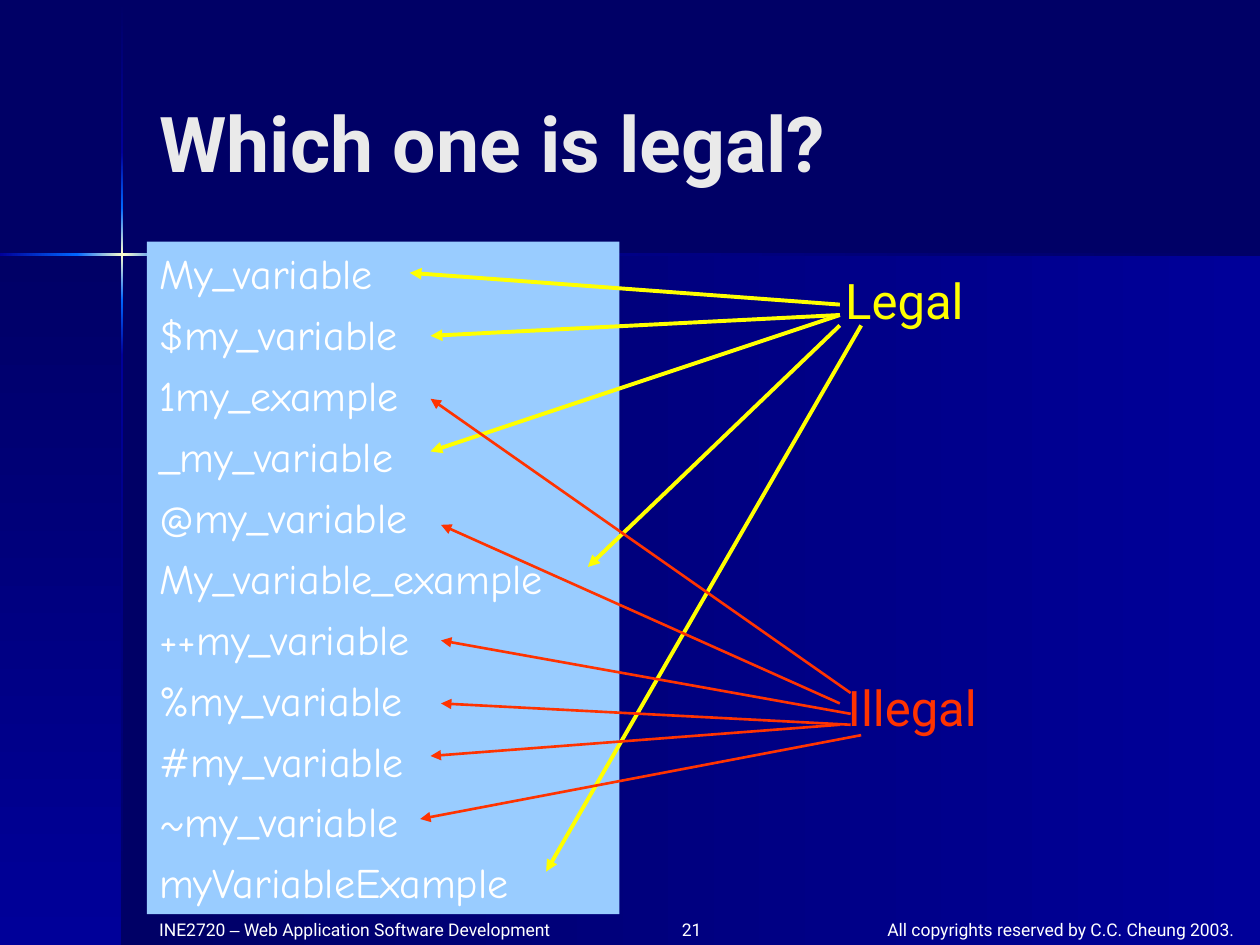
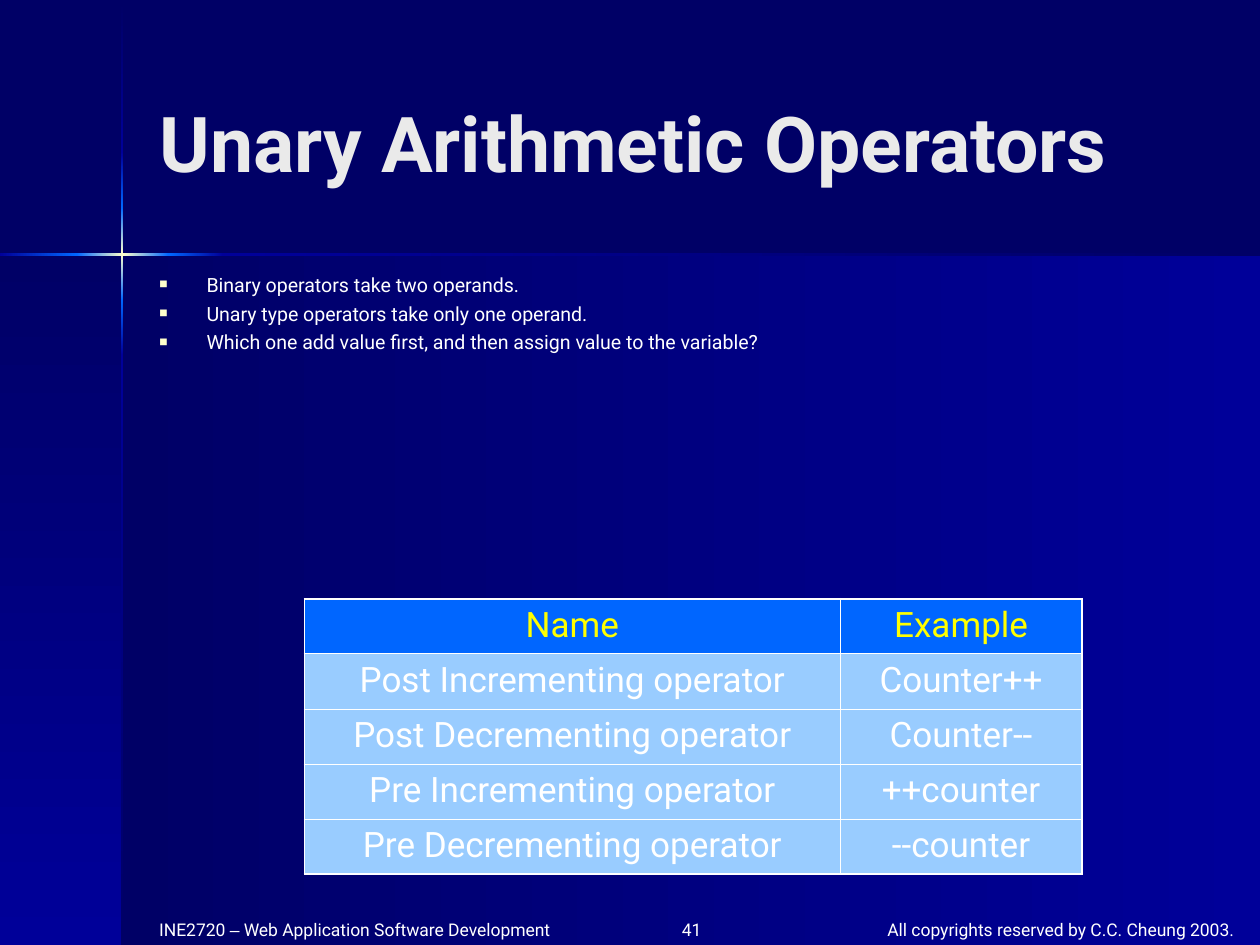
from dataclasses import dataclass
from itertools import pairwise

from lxml.etree import SubElement
from pptx import Presentation
from pptx.dml.color import RGBColor
from pptx.enum.shapes import MSO_CONNECTOR, MSO_SHAPE
from pptx.enum.text import MSO_ANCHOR, MSO_AUTO_SIZE, PP_ALIGN
from pptx.oxml.ns import qn
from pptx.util import Cm, Pt

WIDTH, HEIGHT = 25.4, 19.05
FOLD_X, FOLD_Y = 2.46, 5.13  # where the two light beams cross
BEAM = 0.05
LEFT = 2.96  # left edge of the content


@dataclass(frozen=True)
class Theme:
    night: str = "000066"
    navy: str = "000099"
    blue: str = "0066FF"
    sky: str = "99CCFF"
    cream: str = "FFFFCC"
    white: str = "FFFFFF"
    silver: str = "EAEAEA"
    yellow: str = "FFFF00"
    red: str = "FF3300"
    font: str = "Roboto"
    hand_font: str = "Comic Neue"
    dash_font: str = "Arial"
    title_size: float = 44
    label_size: float = 28
    list_size: float = 24
    table_size: float = 20
    bullet_size: float = 11.2
    footer_size: float = 10


def rgb(colour):
    return RGBColor.from_string(colour)


class Deck:
    def __init__(self, prs, theme):
        self.prs, self.t, self.s = prs, theme, None

    # --- slide frame ---
    def slide(self, layout, title, number):
        self.s = self.prs.slides.add_slide(self.prs.slide_layouts[layout])
        fill = self.s.background.fill
        fill.solid()
        fill.fore_color.rgb = rgb(self.t.night)
        self.backdrop()
        self.footer(number)
        self.title(title)

    def backdrop(self):
        t = self.t
        self.gradient(FOLD_X, FOLD_Y, WIDTH - FOLD_X, HEIGHT - FOLD_Y, t.night, t.navy)
        self.gradient(0, FOLD_Y, FOLD_X, HEIGHT - FOLD_Y, t.night, t.navy, down=True)

        # Light beams: each pair of neighbouring stops is one gradient piece
        glow = [t.navy, t.blue, t.cream, t.blue, t.navy, t.night]
        down = zip([0.03, 3.07, 4.19, 5.12, 6.05, 7.16, HEIGHT], [t.night] + glow)
        for (y1, c1), (y2, c2) in pairwise(down):
            self.gradient(FOLD_X - BEAM / 2, y1, BEAM, y2 - y1, c1, c2, down=True)
        across = zip([0, 1.55, 2.48, 3.4, 4.5, WIDTH], glow)
        for (x1, c1), (x2, c2) in pairwise(across):
            self.gradient(x1, FOLD_Y - BEAM / 2, x2 - x1, BEAM, c1, c2)

    def footer(self, number):
        t, top, height = self.t, 18.4, 0.65
        box = self.text(LEFT, top, 8.47, height, "INE2720 ", t.footer_size)
        p = box.text_frame.paragraphs[0]
        for text, font in [("–", t.dash_font), (" Web Application Software Development", t.font)]:
            p.add_run().text = text
            self.style(p, t.footer_size, t.white, font, runs=p.runs[-1:])
        self.text(17.36, top, 8.04, height, "All copyrights reserved by C.C. Cheung 2003.",
                  t.footer_size, align=PP_ALIGN.CENTER)
        self.text(12.7, top, 1.69, height, number, t.footer_size, align=PP_ALIGN.RIGHT)

    def title(self, text):
        sp = self.placeholder(self.s.shapes.title, 0.85, 4)
        tf = sp.text_frame
        tf.text = text
        tf.vertical_anchor = MSO_ANCHOR.MIDDLE
        p = tf.paragraphs[0]
        p.alignment = PP_ALIGN.LEFT
        self.style(p, self.t.title_size, self.t.silver, bold=True)

    # --- text ---
    def style(self, p, size, colour, font=None, bold=False, runs=None):
        for r in runs or p.runs:
            r.font.name = font or self.t.font
            r.font.size = Pt(size)
            r.font.bold = bold
            r.font.color.rgb = rgb(colour)

    def placeholder(self, sp, top, height):
        sp.left, sp.top, sp.width, sp.height = Cm(LEFT), Cm(top), Cm(20.96), Cm(height)
        sp.text_frame.auto_size = MSO_AUTO_SIZE.NONE
        self.s.shapes.element.append(sp.element)  # in front of the backdrop
        return sp

    def text(self, x, y, w, h, text, size, colour=None, align=PP_ALIGN.LEFT):
        box = self.s.shapes.add_textbox(Cm(x), Cm(y), Cm(w), Cm(h))
        tf = box.text_frame
        tf.word_wrap = True
        tf.text = text
        p = tf.paragraphs[0]
        p.alignment = align
        self.style(p, size, colour or self.t.white)
        return box

    def bullets(self, top, height, lines):
        tf = self.placeholder(self.s.placeholders[1], top, height).text_frame
        tf.text = "\n".join(lines)
        indent = Cm(0.95)
        for i, p in enumerate(tf.paragraphs):
            pPr = p._p.get_or_add_pPr()
            pPr.set("marL", str(indent))
            pPr.set("indent", str(-indent))
            colour = SubElement(pPr, qn("a:buClr"))
            SubElement(colour, qn("a:srgbClr"), val=self.t.cream)
            SubElement(pPr, qn("a:buSzPct"), val="70000")
            SubElement(pPr, qn("a:buChar"), char="■")
            p.line_spacing = 0.7
            p.space_before = Pt(7 if i else 0)
            self.style(p, self.t.bullet_size, self.t.white)

    # --- shapes ---
    def rect(self, x, y, w, h):
        sp = self.s.shapes.add_shape(MSO_SHAPE.RECTANGLE, Cm(x), Cm(y), Cm(w), Cm(h))
        sp.shadow.inherit = False
        sp.line.fill.background()
        return sp

    def gradient(self, x, y, w, h, start, end, down=False):
        fill = self.rect(x, y, w, h).fill
        fill.gradient()
        fill.gradient_angle = 270 if down else 0
        for stop, colour in zip(fill.gradient_stops, (start, end)):
            stop.color.rgb = rgb(colour)

    def panel(self, x, y, w, h, lines):
        sp = self.rect(x, y, w, h)
        sp.fill.solid()
        sp.fill.fore_color.rgb = rgb(self.t.sky)
        tf = sp.text_frame
        tf.vertical_anchor = MSO_ANCHOR.TOP
        tf.text = "\n".join(lines)
        for i, p in enumerate(tf.paragraphs):
            p.alignment = PP_ALIGN.LEFT
            p.space_before = Pt(6 if i else 0)
            self.style(p, self.t.list_size, self.t.white, self.t.hand_font)

    def arrow(self, start, end, colour, width):
        line = self.s.shapes.add_connector(
            MSO_CONNECTOR.STRAIGHT, *(Cm(v) for v in (*start, *end)))
        line.line.color.rgb = rgb(colour)
        line.line.width = Pt(width)
        SubElement(line.line._get_or_add_ln(), qn("a:tailEnd"), type="triangle")
        SubElement(line.element.spPr, qn("a:effectLst"))

    # --- table ---
    def border(self, cell, side, width):
        ln = SubElement(cell._tc.get_or_add_tcPr(), qn(f"a:ln{side}"), w=str(Pt(width)))
        SubElement(SubElement(ln, qn("a:solidFill")), qn("a:srgbClr"), val=self.t.white)

    def table(self, x, y, widths, row_height, rows):
        last_row, last_col = len(rows) - 1, len(widths) - 1
        table = self.s.shapes.add_table(
            len(rows), len(widths), Cm(x), Cm(y),
            Cm(sum(widths)), Cm(row_height * len(rows))).table
        table.horz_banding = False
        for column, width in zip(table.columns, widths):
            column.width = Cm(width)
        for i, row in enumerate(rows):
            table.rows[i].height = Cm(row_height)
            for j, text in enumerate(row):
                cell = table.cell(i, j)
                edges = {"L": j == 0, "R": j == last_col, "T": i == 0, "B": i == last_row}
                for side, outer in edges.items():
                    self.border(cell, side, 1.08 if outer else 0.45)
                cell.fill.solid()
                cell.fill.fore_color.rgb = rgb(self.t.sky if i else self.t.blue)
                cell.text = text
                p = cell.text_frame.paragraphs[0]
                p.alignment = PP_ALIGN.CENTER
                self.style(p, self.t.table_size, self.t.white if i else self.t.yellow)


def legal_names(deck):
    t = deck.t
    deck.slide(5, "Which one is legal?", "21")
    deck.panel(LEFT, 4.87, 9.53, 13.56, [
        "My_variable", "$my_variable", "1my_example", "_my_variable",
        "@my_variable", "My_variable_example", "++my_variable", "%my_variable",
        "#my_variable", "~my_variable", "myVariableExample"])

    # Arrows from each verdict to the names it covers
    deck.text(16.79, 5.33, 3.2, 1.45, "Legal", t.label_size, t.yellow)
    for start, end in [
        ((16.93, 6.14), (8.26, 5.5)),
        ((16.93, 6.35), (8.68, 6.77)),
        ((16.93, 6.56), (11.85, 11.43)),
        ((17.36, 6.56), (11.01, 17.57)),
        ((16.93, 6.35), (8.68, 9.1)),
    ]:
        deck.arrow(start, end, t.yellow, 2.25)

    deck.text(16.84, 13.54, 3.5, 1.45, "Illegal", t.label_size, t.red)
    for start, end in [
        ((17.15, 13.97), (8.68, 8.04)),
        ((16.93, 14.18), (8.89, 10.58)),
        ((17.15, 14.39), (8.89, 12.91)),
        ((17.15, 14.61), (8.89, 14.18)),
        ((16.93, 14.61), (8.68, 15.24)),
        ((17.36, 14.82), (8.47, 16.51)),
    ]:
        deck.arrow(start, end, t.red, 1.5)


def unary_operators(deck):
    deck.slide(1, "Unary Arithmetic Operators", "41")
    deck.bullets(5.5, 1.7, [
        "Binary operators take two operands.",
        "Unary type operators take only one operand.",
        "Which one add value first, and then assign value to the variable?"])
    deck.table(6.14, 12.07, [10.8, 4.87], 1.11, [
        ("Name", "Example"),
        ("Post Incrementing operator", "Counter++"),
        ("Post Decrementing operator", "Counter--"),
        ("Pre Incrementing operator", "++counter"),
        ("Pre Decrementing operator", "--counter")])


def main():
    prs = Presentation()
    prs.slide_width, prs.slide_height = Cm(WIDTH), Cm(HEIGHT)
    deck = Deck(prs, Theme())
    legal_names(deck)
    unary_operators(deck)
    prs.save("out.pptx")


if __name__ == "__main__":
    main()
